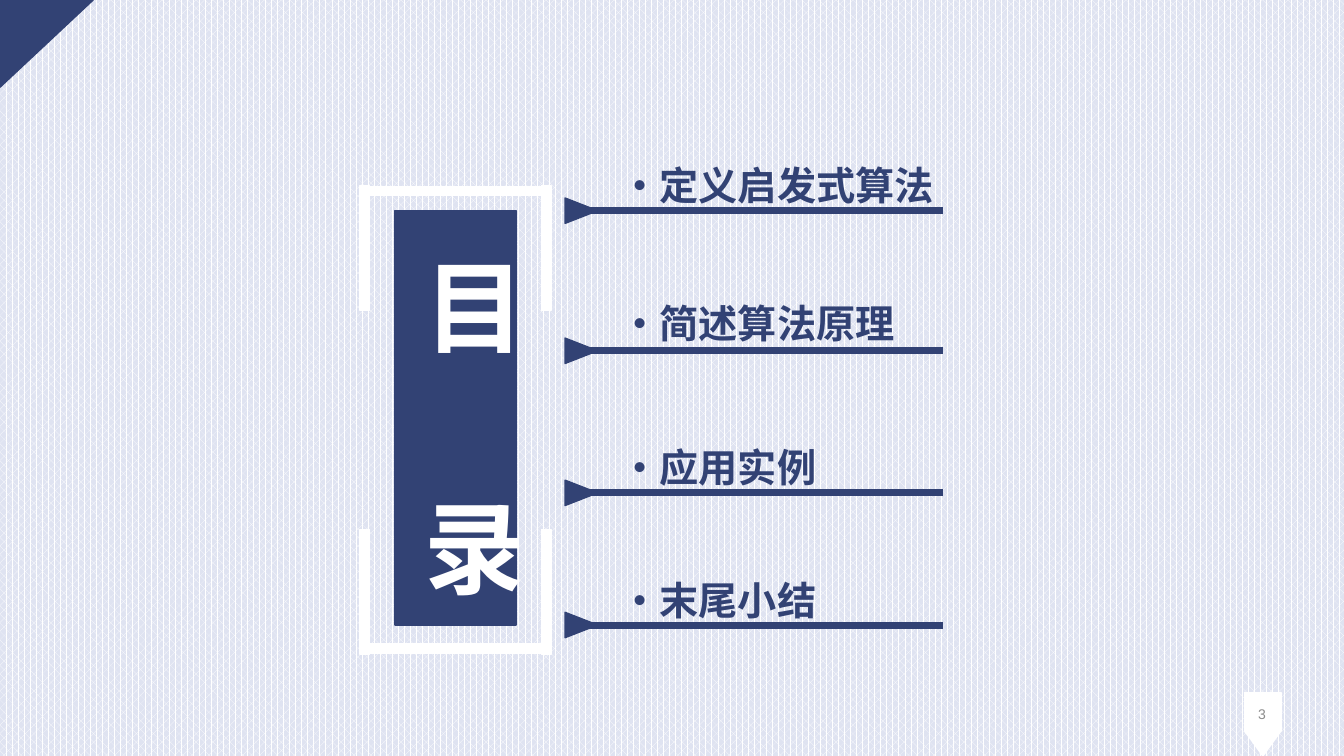
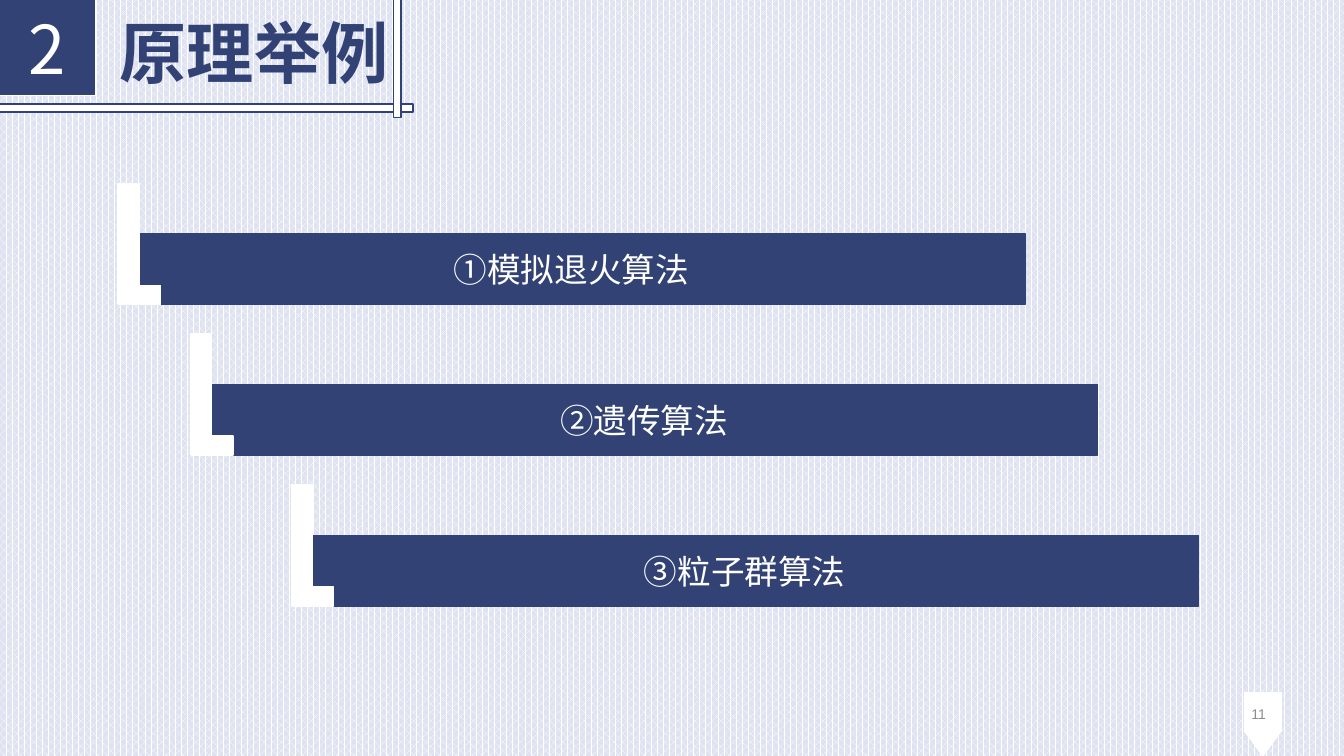
"""Build a contents slide and a list-of-examples slide in one shared style."""
from pptx import Presentation
from pptx.dml.color import RGBColor
from pptx.enum.dml import MSO_PATTERN
from pptx.enum.lang import MSO_LANGUAGE_ID
from pptx.enum.shapes import MSO_CONNECTOR, MSO_SHAPE
from pptx.enum.text import MSO_ANCHOR, PP_ALIGN
from pptx.oxml.ns import qn
from pptx.util import Cm, Pt
from lxml.etree import SubElement

NAVY = RGBColor(0x32, 0x42, 0x74)
WHITE = RGBColor(0xFF, 0xFF, 0xFF)
PALE = RGBColor(0xDF, 0xE3, 0xF1)
GREY = RGBColor(0x8C, 0x8C, 0x8C)
CJK = "Noto Sans CJK SC"

CONTENTS = [
    ("·定义启发式算法", 3.86, 5.31),
    ("·简述算法原理", 7.34, 8.84),
    ("·应用实例", 10.95, 12.42),
    ("·末尾小结", 14.3, 15.75),
]
CONTENTS_TITLE = ["目", "录"]
SECTION = ("2", "原理举例")
EXAMPLES = [("①模拟退火算法", 2.97), ("②遗传算法", 4.8), ("③粒子群算法", 7.34)]

FORMATS = {
    "page": {"size": Pt(10), "name": "Arial", "color": GREY},
    "vertical": {"size": Pt(72), "name": CJK, "color": WHITE, "bold": True},
    "item": {"size": Pt(28), "name": CJK, "color": NAVY, "bold": True},
    "number": {"size": Pt(48), "name": CJK, "color": WHITE},
    "title": {"size": Pt(48), "name": CJK, "color": NAVY, "bold": True},
    "bar": {"size": Pt(24), "name": CJK, "color": WHITE},
}
LEADING = 1.29
TITLE_GAP = Pt(79)


def paint(sp, fill, line):
    sp.shadow.inherit = False
    sp.fill.solid()
    sp.fill.fore_color.rgb = fill
    sp.line.color.rgb = line
    sp.line.width = Pt(1)
    return sp


def shape(s, kind, box, fill, line=None, rotation=0):
    sp = s.shapes.add_shape(kind, *map(Cm, box))
    sp.rotation = rotation
    return paint(sp, fill, line or fill)


def write(sp, lines, style, align=PP_ALIGN.LEFT, anchor=MSO_ANCHOR.TOP):
    tf = sp.text_frame
    tf.word_wrap = True
    tf.vertical_anchor = anchor
    for i, line in enumerate(lines):
        p = tf.add_paragraph() if i else tf.paragraphs[0]
        p.alignment = align
        if anchor == MSO_ANCHOR.TOP:
            p.line_spacing = Pt(FORMATS[style]["size"].pt * LEADING)
            p.space_before = TITLE_GAP if i else Pt(0)
        r = p.add_run()
        r.text = line
        r.font.language_id = MSO_LANGUAGE_ID.SIMPLIFIED_CHINESE
        for key, value in FORMATS[style].items():
            if key == "color":
                r.font.color.rgb = value
            else:
                setattr(r.font, key, value)
        SubElement(r.font._element, qn("a:ea"), typeface=FORMATS[style]["name"])


def text(s, box, lines, style, **layout):
    write(s.shapes.add_textbox(*map(Cm, box)), lines, style, **layout)


def rule(s, x1, x2, y):
    line = s.shapes.add_connector(MSO_CONNECTOR.STRAIGHT, Cm(x1), Cm(y), Cm(x2), Cm(y))
    line.line.color.rgb = NAVY
    line.line.width = Pt(5)
    SubElement(line._element.spPr, qn("a:effectLst"))


def new_slide(prs, page):
    s = prs.slides.add_slide(prs.slide_layouts[6])
    fill = s.background.fill
    fill.patterned()
    fill.pattern = MSO_PATTERN.PERCENT_60
    fill.fore_color.rgb = WHITE
    fill.back_color.rgb = PALE
    shape(s, MSO_SHAPE.RECTANGLE, (31.37, 17.45, 0.91, 0.97), WHITE)
    shape(s, MSO_SHAPE.ISOSCELES_TRIANGLE, (31.37, 18.42, 0.91, 0.63), WHITE, rotation=180)
    text(s, (24.66, 17.55, 7.49, 0.89), [page], "page",
         align=PP_ALIGN.RIGHT, anchor=MSO_ANCHOR.MIDDLE)
    return s


def contents_slide(prs):
    s = new_slide(prs, "3")
    fold = s.shapes.build_freeform(0, 0)
    fold.add_line_segments([(Cm(2.35), 0), (0, Cm(2.2))], close=True)
    paint(fold.convert_to_shape(), NAVY, NAVY)

    shape(s, MSO_SHAPE.RECTANGLE, (9.96, 5.31, 3.05, 10.44), NAVY)
    for post_top, beam_top in [(4.67, 4.7), (13.34, 16.23)]:
        for left in (9.07, 13.64):
            shape(s, MSO_SHAPE.RECTANGLE, (left, post_top, 0.25, 3.15), WHITE)
        shape(s, MSO_SHAPE.RECTANGLE, (9.32, beam_top, 4.32, 0.23), WHITE)
    text(s, (10.44, 5.82, 3.05, 9.47), CONTENTS_TITLE, "vertical", align=PP_ALIGN.CENTER)

    for item, top, y in CONTENTS:
        rule(s, 14.71, 23.77, y)
        shape(s, MSO_SHAPE.ISOSCELES_TRIANGLE, (14.33, y - 0.41, 0.64, 0.82), NAVY, rotation=90)
        text(s, (15.39, top, 11.13, 1.45), [item], "item")


def examples_slide(prs):
    s = new_slide(prs, "11")
    number, title = SECTION
    centred = {"align": PP_ALIGN.CENTER, "anchor": MSO_ANCHOR.MIDDLE}
    badge = shape(s, MSO_SHAPE.RECTANGLE, (-0.03, -0.03, 2.44, 2.44), NAVY, WHITE)
    write(badge, [number], "number", **centred)
    text(s, (2.77, 0, 10.87, 2.31), [title], "title")
    for box in [(-0.03, 2.62, 10.44, 0.2), (9.91, -0.08, 0.2, 3.05)]:
        shape(s, MSO_SHAPE.RECTANGLE, box, WHITE, NAVY)

    for i, (name, left) in enumerate(EXAMPLES):
        top = 5.89 + 3.8 * i
        bar = shape(s, MSO_SHAPE.RECTANGLE, (left, top, 22.86, 1.78), NAVY)
        write(bar, [name], "bar", **centred)
        corner = shape(s, MSO_SHAPE.CORNER, (left, top - 1.27, 1.07, 3.05), WHITE)
        corner.adjustments[0] = 0.45
        corner.adjustments[1] = 0.5


def main():
    prs = Presentation()
    prs.slide_width = Cm(33.87)
    prs.slide_height = Cm(19.05)
    contents_slide(prs)
    examples_slide(prs)
    prs.save("out.pptx")


if __name__ == "__main__":
    main()
